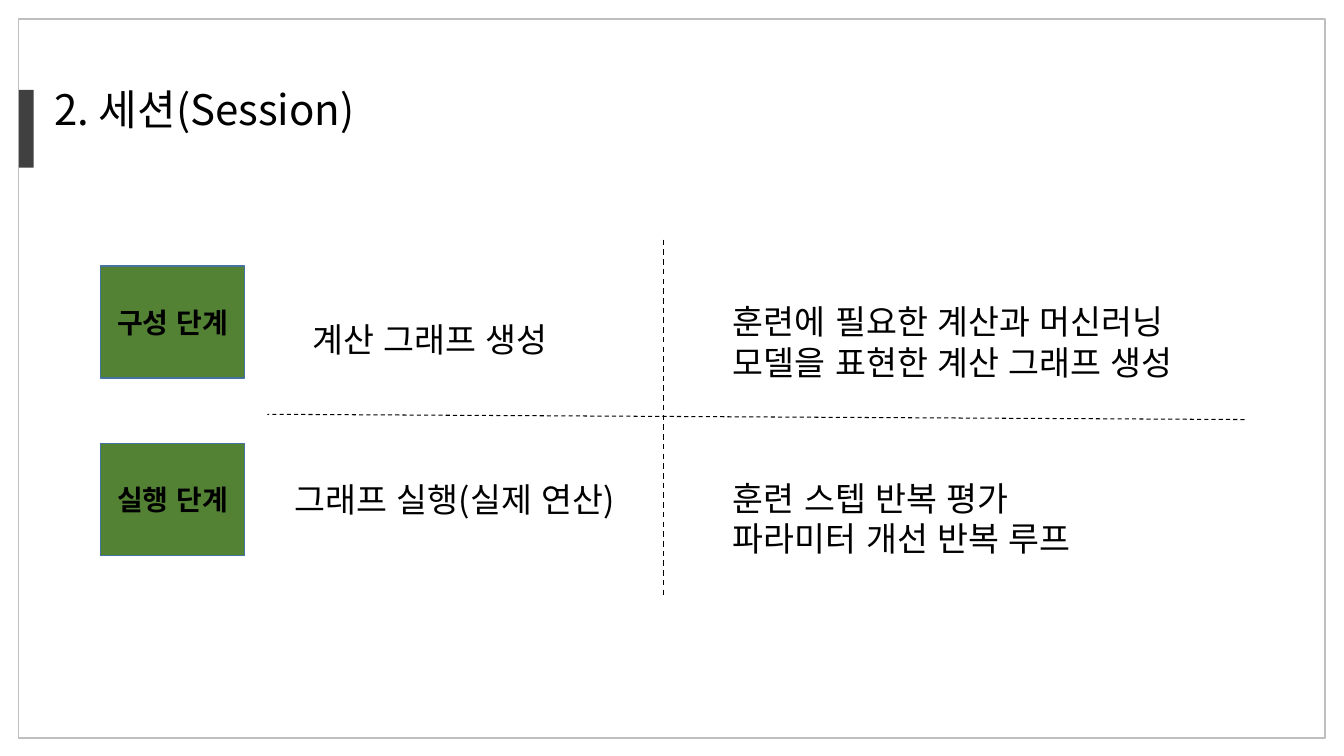
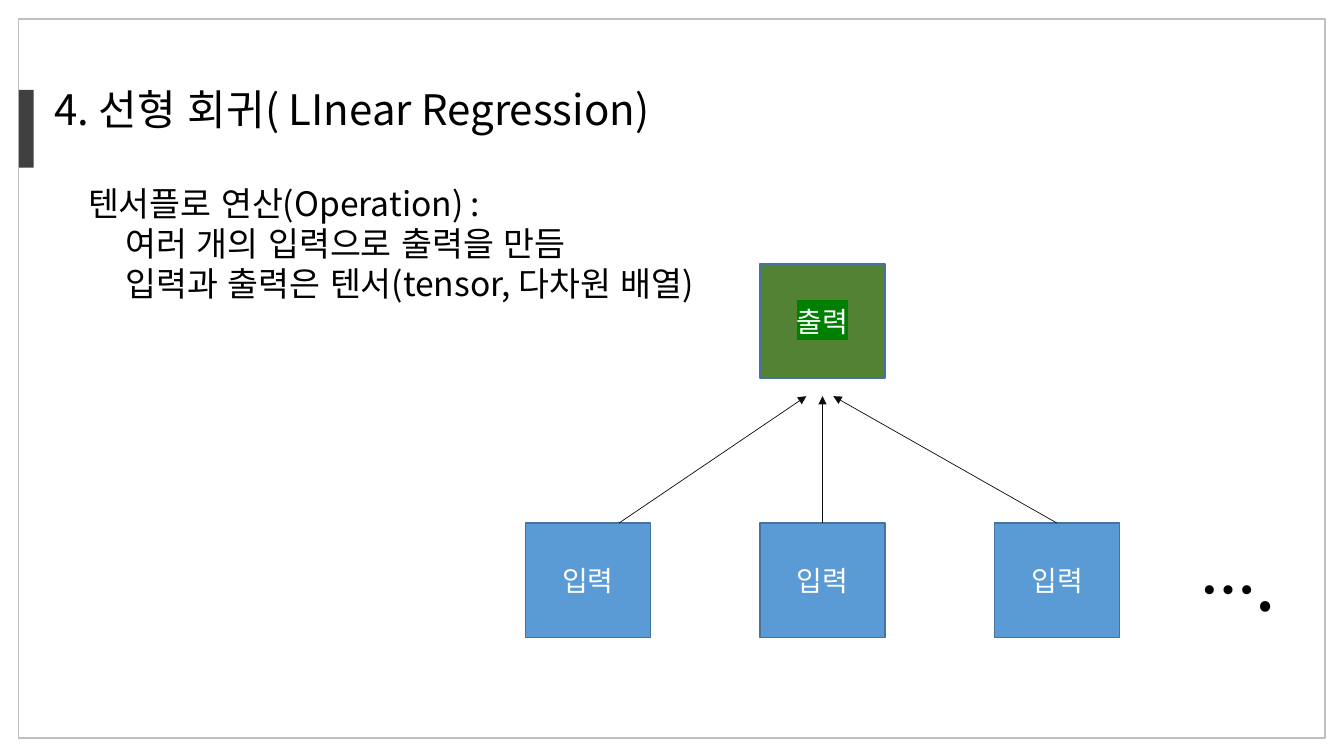
"""Build two slides on computation sessions and linear regression operations."""
import dataclasses
import typing

import lxml.etree
import pptx
import pptx.dml.color
import pptx.enum.dml
import pptx.enum.lang
import pptx.enum.shapes
import pptx.enum.text
import pptx.oxml.ns
import pptx.presentation
import pptx.shapes.autoshape
import pptx.shapes.connector
import pptx.slide
import pptx.text.text
import pptx.util

WIDTH = pptx.util.Inches(13.33)
HEIGHT = pptx.util.Inches(7.5)
FONT = "Noto Sans CJK KR"
COLORS = {
    "text": "000000",
    "light": "FFFFFF",
    "frame": "BFBFBF",
    "bar": "404040",
    "green": "548235",
    "blue": "5B9BD5",
    "edge": "43739E",
    "arrow": "0D0D0D",
    "highlight": "008000",
}
ALIGN = pptx.enum.text.PP_ALIGN
ANCHOR = pptx.enum.text.MSO_ANCHOR
qn = pptx.oxml.ns.qn


@dataclasses.dataclass(frozen=True)
class Box:
    """A rectangle in percent of the slide's width and height."""
    left: float
    top: float
    width: float
    height: float

    def emu(self) -> tuple[int, int, int, int]:
        return across(self.left), down(self.top), across(self.width), down(self.height)


@dataclasses.dataclass(frozen=True)
class Style:
    """Character and paragraph formatting of a text frame."""
    size: float = 24
    color: str = "text"
    bold: bool = False
    align: ALIGN = ALIGN.LEFT
    highlight: str = ""


@dataclasses.dataclass(frozen=True)
class Note:
    """Text in a box without fill or line."""
    text: str
    box: Box
    style: Style = Style()


@dataclasses.dataclass(frozen=True)
class Line:
    """A straight line between two points in percent of the slide."""
    start: tuple[float, float]
    end: tuple[float, float]
    width: float = 1
    color: str = "text"


TITLE = Style(size=30)
STAGE = Style(size=20, bold=True, align=ALIGN.CENTER)
INPUT = Style(size=20, color="light", align=ALIGN.CENTER)
OUTPUT = dataclasses.replace(INPUT, highlight="highlight")


def across(share: float) -> int:
    """Turn a percentage of the slide's width into a length."""
    return round(WIDTH * share / 100)


def down(share: float) -> int:
    """Turn a percentage of the slide's height into a length."""
    return round(HEIGHT * share / 100)


def rgb(name: str) -> pptx.dml.color.RGBColor:
    """Look up a named colour."""
    return pptx.dml.color.RGBColor.from_string(COLORS[name])


def format_text(tf: pptx.text.text.TextFrame, style: Style) -> None:
    """Format every paragraph and run of a text frame."""
    tf.word_wrap = True
    for p in tf.paragraphs:
        p.alignment = style.align
        p.space_before = pptx.util.Pt(0)
        for r in p.runs:
            r.font.size = pptx.util.Pt(style.size)
            r.font.bold = style.bold
            r.font.color.rgb = rgb(style.color)
            r.font.name = FONT
            r.font.language_id = pptx.enum.lang.MSO_LANGUAGE_ID.KOREAN
            latin = r.font._element.find(qn("a:latin"))
            ea = lxml.etree.Element(qn("a:ea"), typeface=FONT)
            latin.addnext(ea)
            if style.highlight:
                mark = lxml.etree.Element(qn("a:highlight"))
                lxml.etree.SubElement(mark, qn("a:srgbClr"), val=COLORS[style.highlight])
                latin.addprevious(mark)


def fill_text(tf: pptx.text.text.TextFrame, text: str, style: Style) -> None:
    """Put top-anchored text in a frame that grows with it."""
    tf.text = text
    tf.vertical_anchor = ANCHOR.TOP
    format_text(tf, style)
    tf.auto_size = pptx.enum.text.MSO_AUTO_SIZE.SHAPE_TO_FIT_TEXT


def add_note(slide: pptx.slide.Slide, note: Note) -> None:
    """Add a text box."""
    sp = slide.shapes.add_textbox(*note.box.emu())
    fill_text(sp.text_frame, note.text, note.style)


def add_rect(
    slide: pptx.slide.Slide,
    box: Box,
    fill: str = "",
    line: str = "",
    text: str = "",
    style: Style = STAGE,
) -> pptx.shapes.autoshape.Shape:
    """Add a rectangle with optional fill, line and centred text."""
    sp = slide.shapes.add_shape(pptx.enum.shapes.MSO_SHAPE.RECTANGLE, *box.emu())
    sp.shadow.inherit = False
    if fill:
        sp.fill.solid()
        sp.fill.fore_color.rgb = rgb(fill)
    else:
        sp.fill.background()
    if line:
        sp.line.color.rgb = rgb(line)
        sp.line.width = pptx.util.Pt(1)
    else:
        sp.line.fill.background()
    if text:
        sp.text_frame.text = text
        sp.text_frame.vertical_anchor = ANCHOR.MIDDLE
        format_text(sp.text_frame, style)
    return sp


def add_line(slide: pptx.slide.Slide, line: Line) -> pptx.shapes.connector.Connector:
    """Add a straight connector."""
    cxn = slide.shapes.add_connector(
        pptx.enum.shapes.MSO_CONNECTOR.STRAIGHT,
        across(line.start[0]), down(line.start[1]),
        across(line.end[0]), down(line.end[1]),
    )
    cxn.line.color.rgb = rgb(line.color)
    cxn.line.width = pptx.util.Pt(line.width)
    lxml.etree.SubElement(cxn._element.spPr, qn("a:effectLst"))
    return cxn


def add_arrow(
    slide: pptx.slide.Slide,
    line: Line,
    source: typing.Optional[pptx.shapes.autoshape.Shape] = None,
) -> None:
    """Add an arrow, joined to the top of its source if there is one."""
    cxn = add_line(slide, line)
    lxml.etree.SubElement(cxn.line._get_or_add_ln(), qn("a:tailEnd"), type="triangle")
    if source is not None:
        cxn.begin_connect(source, 0)


def add_slide(
    prs: pptx.presentation.Presentation, layout: int, title: str, title_width: float
) -> pptx.slide.Slide:
    """Add a slide with the shared frame, side bar and title."""
    slide = prs.slides.add_slide(prs.slide_layouts[layout])
    add_rect(slide, Box(1.4, 2.5, 97.2, 95.1), line="frame")
    add_rect(slide, Box(1.4, 11.9, 1.1, 10.3), fill="bar")
    sp = slide.shapes.title
    sp.left, sp.top, sp.width, sp.height = Box(3.3, 10.4, title_width, 8.1).emu()
    fill_text(sp.text_frame, title, TITLE)
    return slide


def add_list(slide: pptx.slide.Slide, box: Box, heading: str, items: list[str]) -> None:
    """Fill the body placeholder with a heading and indented items."""
    sp = slide.placeholders[1]
    sp.left, sp.top, sp.width, sp.height = box.emu()
    fill_text(sp.text_frame, "\n".join([heading, *items]), Style())
    for i, p in enumerate(sp.text_frame.paragraphs):
        pPr = p._p.get_or_add_pPr()
        pPr.set("marL", str(across(2.8) if i else 0))
        pPr.set("indent", "0")
        lxml.etree.SubElement(pPr, qn("a:buNone"))


def build_session(prs: pptx.presentation.Presentation) -> None:
    """Build the slide on the two stages of a session."""
    slide = add_slide(prs, 5, "2. 세션(Session)", 26)
    for row, stage in enumerate(["구성 단계", "실행 단계"]):
        add_rect(slide, Box(7.5, 35.2 + 23.5 * row, 10.7, 14.8), "green", "edge", stage)
    notes = [
        Note("계산 그래프 생성", Box(22.5, 41.5, 36.6, 6.7)),
        Note("훈련에 필요한 계산과 머신러닝 모델을 표현한 계산 그래프 생성",
             Box(53.8, 39.2, 36.6, 12.1)),
        Note("그래프 실행(실제 연산)", Box(21.2, 62.7, 36.6, 6.7)),
        Note("훈련 스텝 반복 평가\n파라미터 개선 반복 루프", Box(53.8, 62.5, 36.6, 12.1)),
    ]
    for note in notes:
        add_note(slide, note)
    dividers = [
        Line((49.35, 31.7), (49.35, 78.9)),
        Line((92.6, 55.5), (19.9, 54.8), 0.75),
    ]
    for divider in dividers:
        add_line(slide, divider).line.dash_style = pptx.enum.dml.MSO_LINE.DASH


def build_regression(prs: pptx.presentation.Presentation) -> None:
    """Build the slide on an operation with its inputs and output."""
    slide = add_slide(prs, 1, "4. 선형 회귀( LInear Regression)", 51.8)
    add_list(slide, Box(5.8, 23.5, 51.8, 17.5), "텐서플로 연산(Operation) :",
             ["여러 개의 입력으로 출력을 만듬", "입력과 출력은 텐서(tensor, 다차원 배열)"])
    first, pitch, width, height, top = 39.1, 17.45, 9.3, 15.1, 69.2
    inputs = [
        add_rect(slide, Box(first + pitch * i, top, width, height), "blue", "edge", "입력", INPUT)
        for i in range(3)
    ]
    add_rect(slide, Box(first + pitch, 34.9, width, height), "green", "edge", "출력", OUTPUT)
    add_note(slide, Note("….", Box(88.6, 72.8, width, 10.3), Style(size=40, bold=True)))
    centre = first + pitch + width / 2
    arrows = [
        (46.05, 60, None),
        (centre, centre, inputs[1]),
        (centre + pitch, 62, inputs[2]),
    ]
    for start, end, source in arrows:
        add_arrow(slide, Line((start, top), (end, 52.4), 0.5, "arrow"), source)


def main() -> None:
    """Build and save the presentation."""
    prs = pptx.Presentation()
    prs.slide_width, prs.slide_height = WIDTH, HEIGHT
    build_session(prs)
    build_regression(prs)
    prs.save("out.pptx")


if __name__ == "__main__":
    main()
